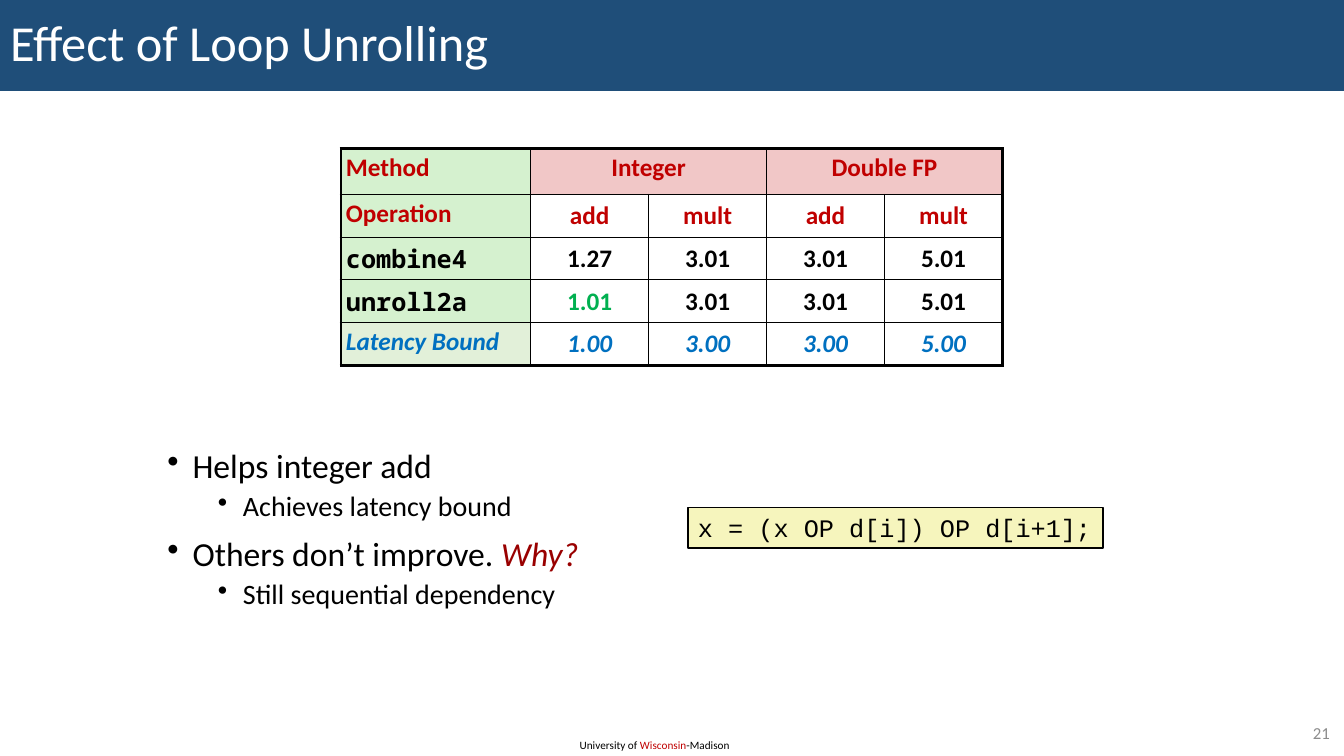
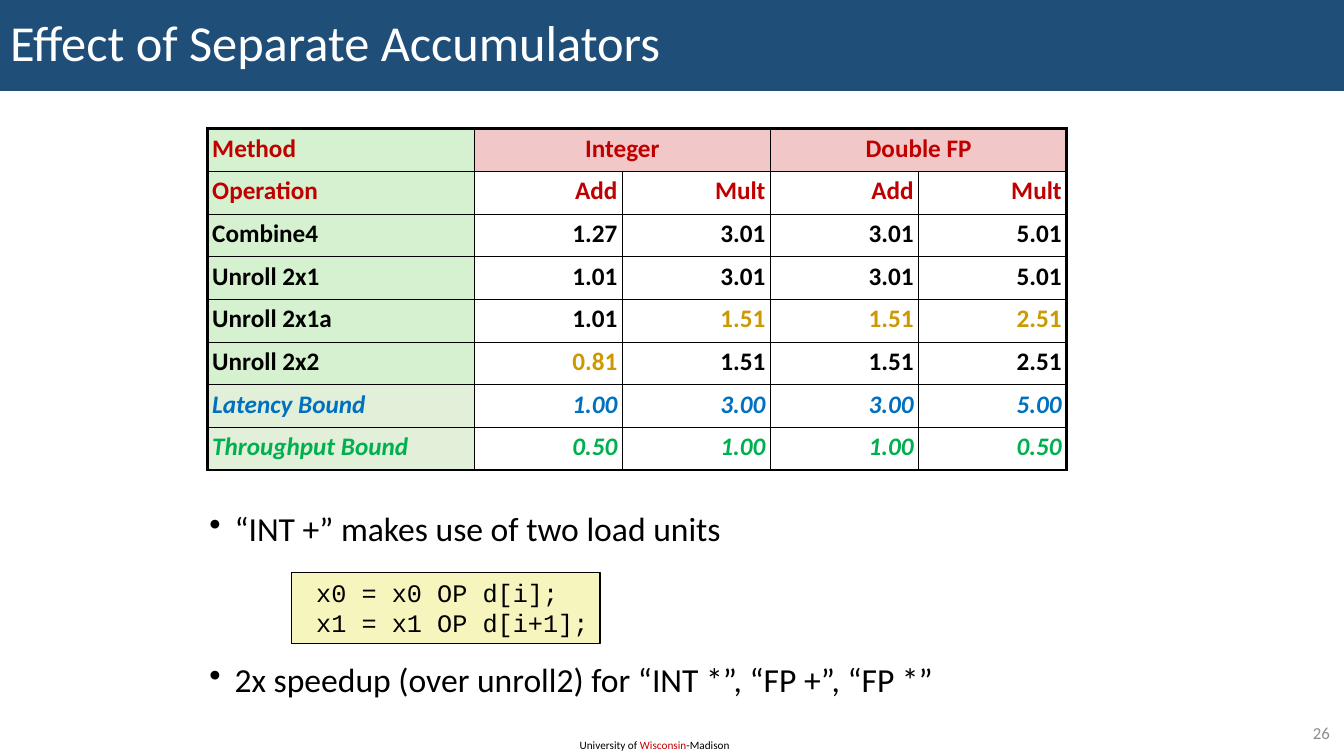
from lxml.etree import SubElement
from pptx import Presentation
from pptx.dml.color import RGBColor
from pptx.enum.shapes import MSO_SHAPE
from pptx.enum.text import MSO_ANCHOR, MSO_AUTO_SIZE, PP_ALIGN
from pptx.oxml.ns import qn
from pptx.util import Pt

COLORS = {
    "band": "1F4E79",
    "white": "FFFFFF",
    "black": "000000",
    "red": "C00000",
    "question": "990000",
    "green": "00B050",
    "blue": "0070C0",
    "gold": "CC9900",
    "grey": "8C8C8C",
    "code": "F6F5BD",
    "method": "D5F1CF",
    "bound": "E2F0D9",
    "group": "F1C7C7",
}
TITLE = {"name": "Calibri", "size": Pt(36), "bold": False, "color": "white"}
CODE = {"name": "Courier New", "size": Pt(18), "color": "black"}
FOOTER = {"name": "Calibri", "size": Pt(8), "color": "black"}
NUMBER = {"name": "Calibri", "size": Pt(12), "color": "grey"}
BULLETS = (
    {"name": "Calibri", "size": Pt(24), "color": "black"},
    {"name": "Calibri", "size": Pt(20), "color": "black"},
)
CELL = {"name": "Calibri", "size": Pt(18), "bold": True, "color": "black"}
ROW_FORMATS = {
    "heading": {"color": "red"},
    "data": {},
    "latency": {"color": "blue", "italic": True},
    "throughput": {"color": "green", "italic": True},
}
THICK, THIN = Pt(2.25), Pt(1)


def rgb(color):
    return RGBColor.from_string(COLORS[color])


def add_run(paragraph, text, values):
    run = paragraph.add_run()
    run.text = text
    for name, value in values.items():
        if name == "color":
            run.font.color.rgb = rgb(value)
        else:
            setattr(run.font, name, value)


def fill_with(target, color):
    target.fill.solid()
    target.fill.fore_color.rgb = rgb(color)


def add_borders(cell, widths):
    properties = cell._tc.get_or_add_tcPr()
    for side, width in widths.items():
        border = SubElement(properties, qn(f"a:ln{side}"), w=str(width))
        paint = SubElement(border, qn("a:solidFill"))
        SubElement(paint, qn("a:srgbClr"), val=COLORS["black"])


class Deck:
    def __init__(self):
        self.presentation = Presentation()
        self.presentation.slide_width = Pt(960)
        self.presentation.slide_height = Pt(540)
        self.slide = None

    def start_slide(self, title, number):
        self.slide = self.presentation.slides.add_slide(self.presentation.slide_layouts[5])
        self.add_title(title)
        footer = self.add_text(407, 524, 130, 17)
        for text, color in (("University of ", "black"), ("Wisconsin", "red"), ("-Madison", "black")):
            add_run(footer.paragraphs[0], text, {**FOOTER, "color": color})
        page = self.add_text(902, 513, 55, 21)
        page.vertical_anchor = MSO_ANCHOR.MIDDLE
        page.paragraphs[0].alignment = PP_ALIGN.RIGHT
        add_run(page.paragraphs[0], str(number), NUMBER)

    def add_title(self, text):
        band = self.slide.shapes.title
        band.left, band.top, band.width, band.height = Pt(0), Pt(0), Pt(960), Pt(65)
        fill_with(band, "band")
        frame = band.text_frame
        frame.auto_size = MSO_AUTO_SIZE.NONE
        frame.vertical_anchor = MSO_ANCHOR.MIDDLE
        heading = frame.paragraphs[0]
        heading.alignment = PP_ALIGN.LEFT
        heading.line_spacing = 0.9
        add_run(heading, text, TITLE)

    def add_text(self, left, top, width, height):
        frame = self.slide.shapes.add_textbox(Pt(left), Pt(top), Pt(width), Pt(height)).text_frame
        frame.word_wrap = True
        return frame

    def add_bullets(self, left, top, height, items):
        frame = self.add_text(left, top, 654, height)
        for index, (level, gap, runs) in enumerate(items):
            point = frame.add_paragraph() if index else frame.paragraphs[0]
            properties = point._p.get_or_add_pPr()
            properties.set("marL", str(Pt(18 + 36 * level)))
            properties.set("indent", str(Pt(-18)))
            SubElement(properties, qn("a:buChar"), char="•")
            point.level = level
            point.line_spacing = 0.9
            point.space_before = Pt(gap)
            for text, extra in runs:
                add_run(point, text, {**BULLETS[level], **extra})

    def add_code(self, left, top, width, height, lines):
        box = self.slide.shapes.add_shape(
            MSO_SHAPE.RECTANGLE, Pt(left), Pt(top), Pt(width), Pt(height))
        box.shadow.inherit = False
        fill_with(box, "code")
        box.line.color.rgb = rgb("black")
        box.line.width = THIN
        frame = box.text_frame
        frame.word_wrap = False
        frame.vertical_anchor = MSO_ANCHOR.TOP
        for index, text in enumerate(lines):
            statement = frame.add_paragraph() if index else frame.paragraphs[0]
            statement.alignment = PP_ALIGN.LEFT
            add_run(statement, text, CODE)

    def add_results(self, left, top, widths, heights, rows, alignment, anchor, label_font):
        table = self.slide.shapes.add_table(
            len(rows), len(widths), Pt(left), Pt(top), Pt(sum(widths)), Pt(sum(heights))).table
        table.first_row = table.horz_banding = False
        for column, width in zip(table.columns, widths):
            column.width = Pt(width)
        for row, height in zip(table.rows, heights):
            row.height = Pt(height)
        for first in (1, 3):
            table.cell(0, first).merge(table.cell(0, first + 1))
        for row, (kind, texts) in enumerate(rows):
            for column, entry in enumerate(texts):
                cell = table.cell(row, column)
                text, color = entry if isinstance(entry, tuple) else (entry, None)
                is_label, is_group = column == 0, row == 0 and column > 0
                end = column + (cell.span_width if cell.is_merge_origin else 1)
                add_borders(cell, {
                    "L": THICK if is_label else THIN,
                    "R": THICK if end == len(widths) else THIN,
                    "T": THICK if row == 0 else THIN,
                    "B": THICK if row == len(rows) - 1 else THIN,
                })
                if is_label:
                    fill_with(cell, "method" if kind in ("heading", "data") else "bound")
                elif is_group:
                    fill_with(cell, "group")
                else:
                    cell.fill.background()
                for side in ("left", "right", "top", "bottom"):
                    setattr(cell, f"margin_{side}", Pt(3.6))
                cell.vertical_anchor = MSO_ANCHOR.TOP if is_label or is_group else anchor
                if not text:
                    continue
                values = {**CELL, **ROW_FORMATS[kind]}
                if color:
                    values["color"] = color
                if is_label and kind == "data":
                    values["name"] = label_font
                line = cell.text_frame.paragraphs[0]
                line.line_spacing = 0.95
                line.alignment = (PP_ALIGN.LEFT if is_label
                                  else PP_ALIGN.CENTER if is_group else alignment)
                add_run(line, text, values)


def main():
    deck = Deck()
    groups = ("heading", ("Method", "Integer", "", "Double FP", ""))
    latency = ("latency", ("Latency Bound", "1.00", "3.00", "3.00", "5.00"))

    deck.start_slide("Effect of Loop Unrolling", 21)
    deck.add_bullets(112.5, 317.5, 148, (
        (0, 0, (("Helps integer add", {}),)),
        (1, 5, (("Achieves latency bound", {}),)),
        (0, 10, (("Others don’t improve. ", {}), ("Why?", {"color": "question", "italic": True}))),
        (1, 5, (("Still sequential dependency", {}),)),
    ))
    deck.add_code(491.5, 362.5, 296.5, 29, ("x = (x OP d[i]) OP d[i+1];",))
    deck.add_results(243.5, 106, [135.5] + [84.3] * 4, [33] + [30.5] * 4, (
        groups,
        ("heading", ("Operation", "add", "mult", "add", "mult")),
        ("data", ("combine4", "1.27", "3.01", "3.01", "5.01")),
        ("data", ("unroll2a", ("1.01", "green"), "3.01", "3.01", "5.01")),
        latency,
    ), PP_ALIGN.CENTER, MSO_ANCHOR.MIDDLE, "Noto Sans Mono")

    deck.start_slide("Effect of Separate Accumulators", 26)
    deck.add_bullets(142.5, 362.5, 147.5, (
        (0, 0, (("“INT +” makes use of two load units", {}),)),
        (0, 82, (("2x speedup (over unroll2) for “INT *”, “FP +”, “FP *”", {}),)),
    ))
    deck.add_code(208, 409, 220.5, 50.5, (" x0 = x0 OP d[i];", " x1 = x1 OP d[i+1];"))
    deck.add_results(148, 92, [190.8] + [105.8] * 4, [30.5] * 8, (
        groups,
        ("heading", ("Operation", "Add", "Mult", "Add", "Mult")),
        ("data", ("Combine4", "1.27", "3.01", "3.01", "5.01")),
        ("data", ("Unroll 2x1", "1.01", "3.01", "3.01", "5.01")),
        ("data", ("Unroll 2x1a", "1.01", ("1.51", "gold"), ("1.51", "gold"), ("2.51", "gold"))),
        ("data", ("Unroll 2x2", ("0.81", "gold"), "1.51", "1.51", "2.51")),
        latency,
        ("throughput", ("Throughput Bound", "0.50", "1.00", "1.00", "0.50")),
    ), PP_ALIGN.RIGHT, MSO_ANCHOR.TOP, "Calibri")

    deck.presentation.save("out.pptx")


if __name__ == "__main__":
    main()
